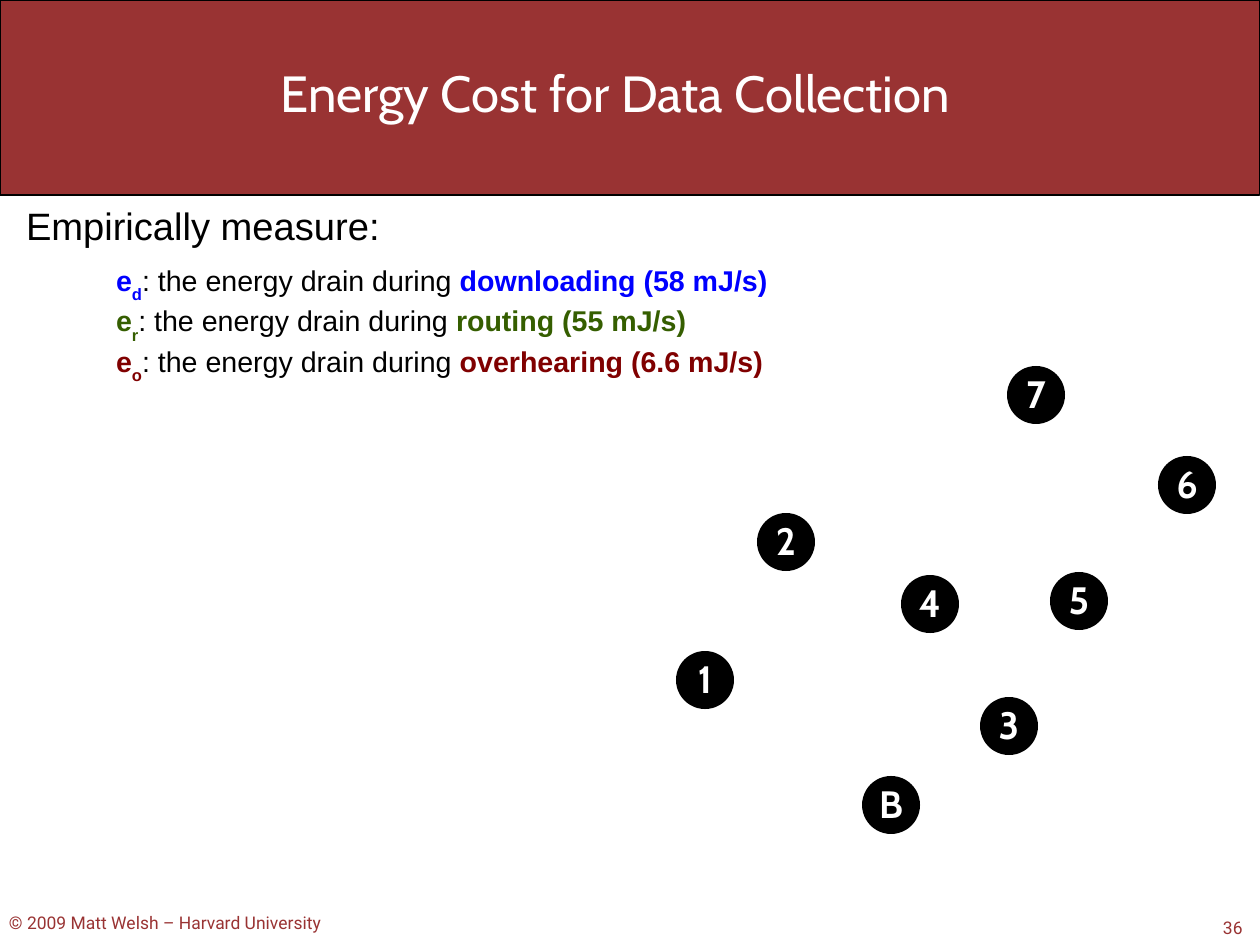
"""Build the slide on the energy cost of data collection."""
from lxml import etree
from pptx import Presentation
from pptx.dml.color import RGBColor
from pptx.enum.shapes import MSO_SHAPE
from pptx.enum.text import MSO_ANCHOR, MSO_AUTO_SIZE, PP_ALIGN
from pptx.oxml.ns import qn
from pptx.util import Pt

PX = 8000
RECTANGLE, OVAL = MSO_SHAPE.RECTANGLE, MSO_SHAPE.OVAL
TOP, MIDDLE = MSO_ANCHOR.TOP, MSO_ANCHOR.MIDDLE
LEFT, CENTER = PP_ALIGN.LEFT, PP_ALIGN.CENTER
NO_FIT = MSO_AUTO_SIZE.NONE

BLACK = RGBColor(0x00, 0x00, 0x00)
WHITE = RGBColor(0xFF, 0xFF, 0xFF)
CRIMSON = RGBColor(0x99, 0x33, 0x33)
BLUE = RGBColor(0x00, 0x00, 0xFF)
GREEN = RGBColor(0x35, 0x5E, 0x00)
MAROON = RGBColor(0x80, 0x00, 0x00)

NODE_SIZE = 58
NODES = [
    ("B", 862, 776), ("3", 980, 697), ("4", 901, 575), ("5", 1050, 572),
    ("6", 1158, 456), ("7", 1007, 366), ("1", 676, 651), ("2", 757, 513),
]
DRAINS = [
    ("d", "downloading (58 mJ/s)", BLUE),
    ("r", "routing (55 mJ/s)", GREEN),
    ("o", "overhearing (6.6 mJ/s)", MAROON),
]


def px(*lengths):
    """Turn pixel lengths into EMU."""
    return [length * PX for length in lengths]


def write(paragraph, text, font="Arial", size=18, color=BLACK, bold=False, subscript=False):
    """Add one formatted run to a paragraph."""
    run = paragraph.add_run()
    run.text = text
    run.font.name = font
    run.font.size = Pt(size)
    run.font.bold = bold
    run.font.color.rgb = color
    if subscript:
        run._r.get_or_add_rPr().set("baseline", "-33000")


def prepare_frame(shape, anchor=TOP, wrap=True):
    """Remove the margins of a shape's text frame and return the frame."""
    frame = shape.text_frame
    frame.margin_left = frame.margin_right = frame.margin_top = frame.margin_bottom = 0
    frame.auto_size = NO_FIT
    frame.word_wrap = wrap
    frame.vertical_anchor = anchor
    return frame


def place(shape, left, top, width, height):
    """Move and size a placeholder in pixels."""
    shape.left, shape.top, shape.width, shape.height = px(left, top, width, height)


def add_filled(slide, preset, box, color):
    """Add a plain filled shape without line or shadow."""
    shape = slide.shapes.add_shape(preset, *px(*box))
    shape.shadow.inherit = False
    shape.fill.solid()
    shape.fill.fore_color.rgb = color
    shape.line.fill.background()
    return shape


def add_header(slide, text):
    """Put the title on a banner that lies behind it."""
    title = slide.shapes.title
    place(title, 78, 63, 1075, 59)
    heading = prepare_frame(title, MIDDLE).paragraphs[0]
    heading.alignment = CENTER
    write(heading, text, font="Cabin", size=32, color=WHITE)
    banner = add_filled(slide, RECTANGLE, (0, 0, 1260, 195), CRIMSON)
    banner.line.color.rgb = BLACK
    banner.line.width = Pt(0.75)
    title.element.addprevious(banner.element)


def format_item(paragraph, indent=0, before=0):
    """Set a list paragraph without bullet at an indent in pixels."""
    properties = paragraph._p.get_or_add_pPr()
    properties.set("marL", str(indent * PX))
    properties.set("indent", "0")
    etree.SubElement(properties, qn("a:buNone"))
    paragraph.alignment = LEFT
    paragraph.line_spacing = 0.98
    paragraph.space_before = Pt(before)


def add_measures(slide):
    """Fill the body with the measured energy drains."""
    body = slide.placeholders[1]
    place(body, 26, 205, 1177, 258)
    frame = prepare_frame(body)
    lead = frame.paragraphs[0]
    format_item(lead)
    write(lead, "Empirically measure:", size=24)
    for index, (symbol, activity, color) in enumerate(DRAINS):
        drain = frame.add_paragraph()
        format_item(drain, indent=90, before=0 if index else 8)
        write(drain, "e", color=color, bold=True)
        write(drain, symbol, color=color, bold=True, subscript=True)
        write(drain, ": the energy drain during ")
        write(drain, activity, color=color, bold=True)


def add_node(slide, label, left, top):
    """Add one labelled network node."""
    node = add_filled(slide, OVAL, (left, top, NODE_SIZE, NODE_SIZE), BLACK)
    paragraph = prepare_frame(node, MIDDLE, wrap=False).paragraphs[0]
    paragraph.alignment = CENTER
    paragraph.line_spacing = 0.98
    write(paragraph, label, font="Cabin", size=24, color=WHITE, bold=True)


def add_footer(slide, text, left, top, width):
    """Add one small line of text at the foot of the slide."""
    footer = slide.shapes.add_textbox(*px(left, top, width, 22))
    write(prepare_frame(footer).paragraphs[0], text, font="Roboto", size=11, color=CRIMSON)


def main():
    """Build and save the slide."""
    deck = Presentation()
    deck.slide_width, deck.slide_height = px(1260, 945)
    slide = deck.slides.add_slide(deck.slide_layouts[1])
    add_header(slide, "Energy Cost for Data Collection")
    add_measures(slide)
    for label, left, top in NODES:
        add_node(slide, label, left, top)
    add_footer(slide, "© 2009 Matt Welsh – Harvard University", 9, 912, 380)
    add_footer(slide, "36", 1223, 917, 37)
    deck.save("out.pptx")


if __name__ == "__main__":
    main()
